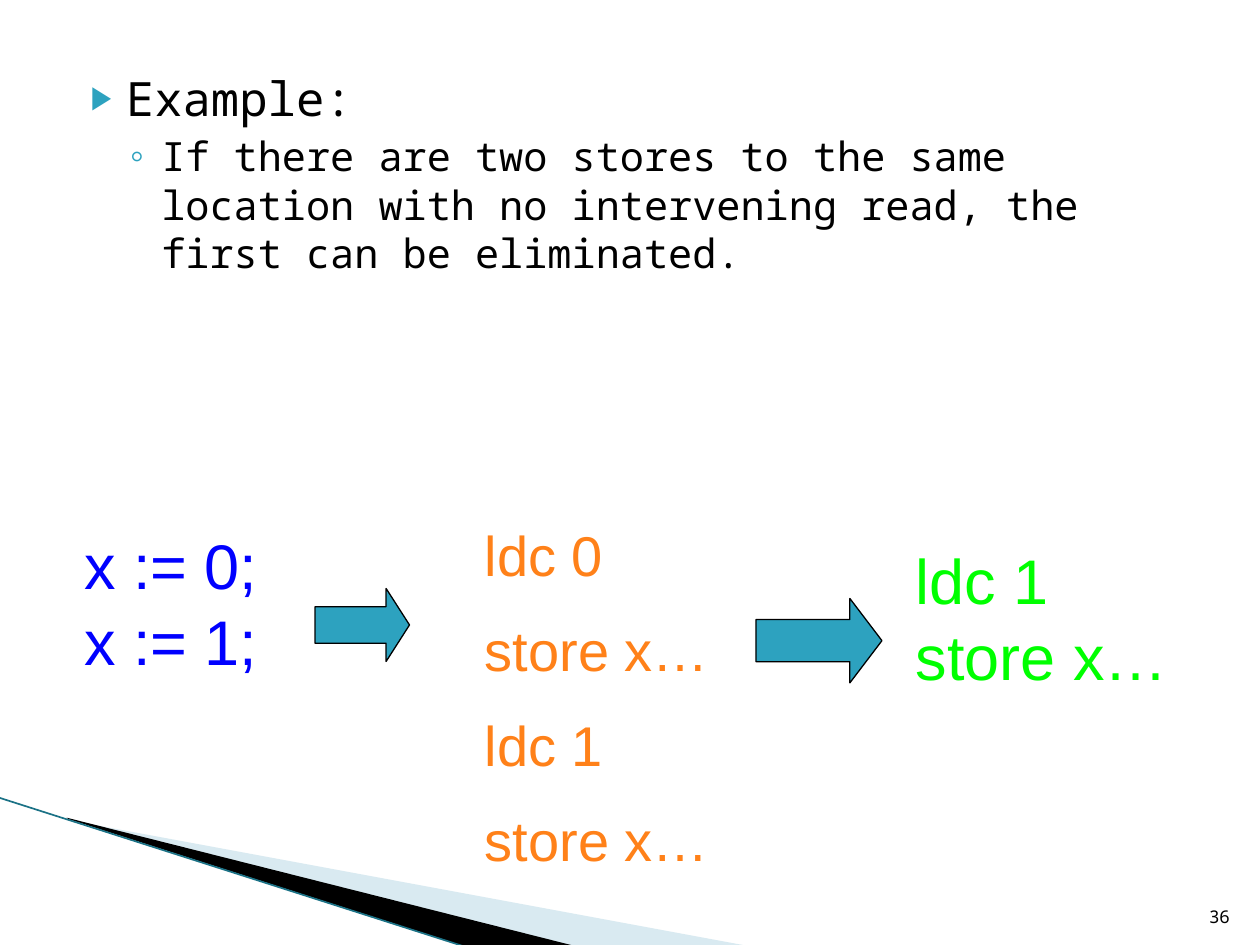
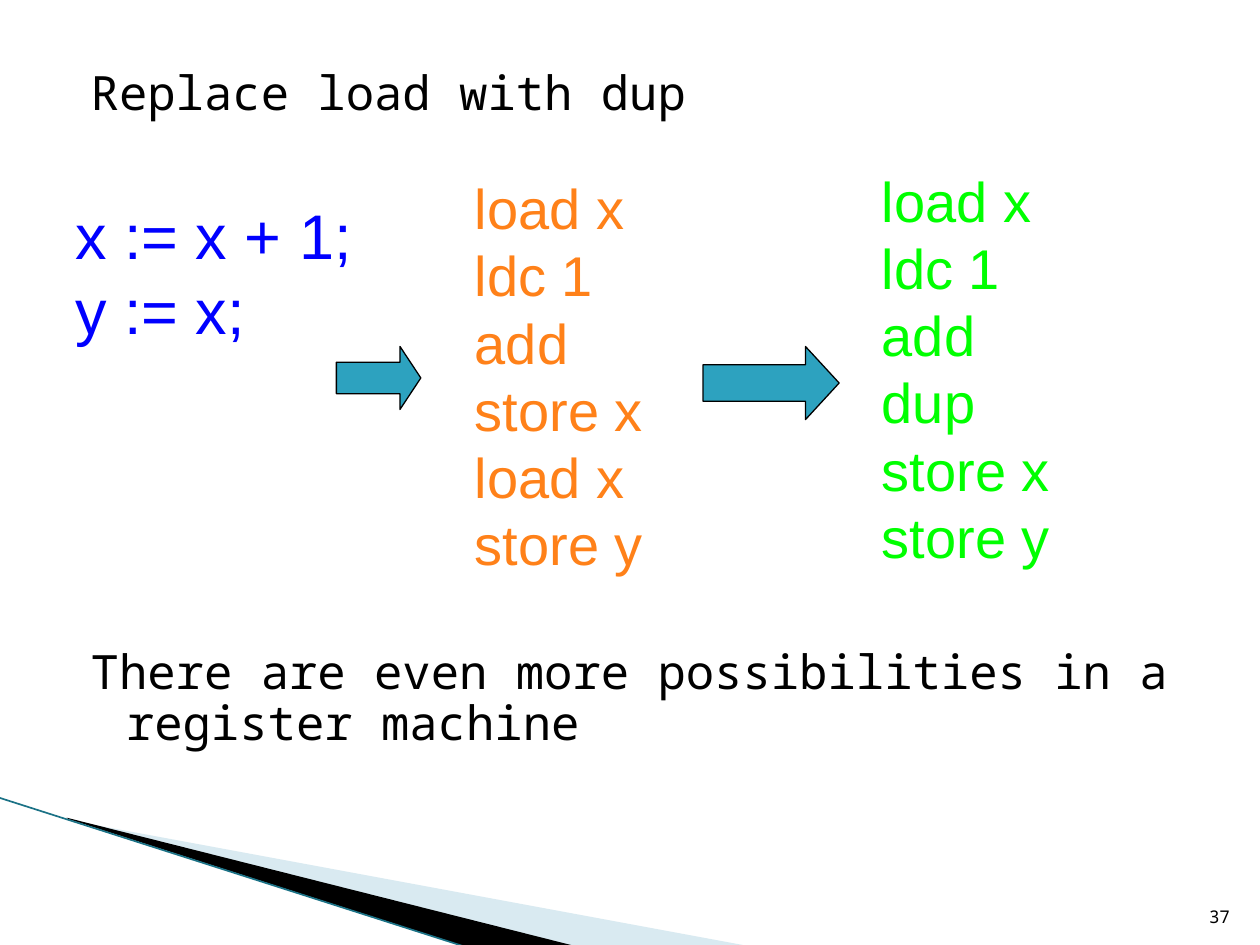
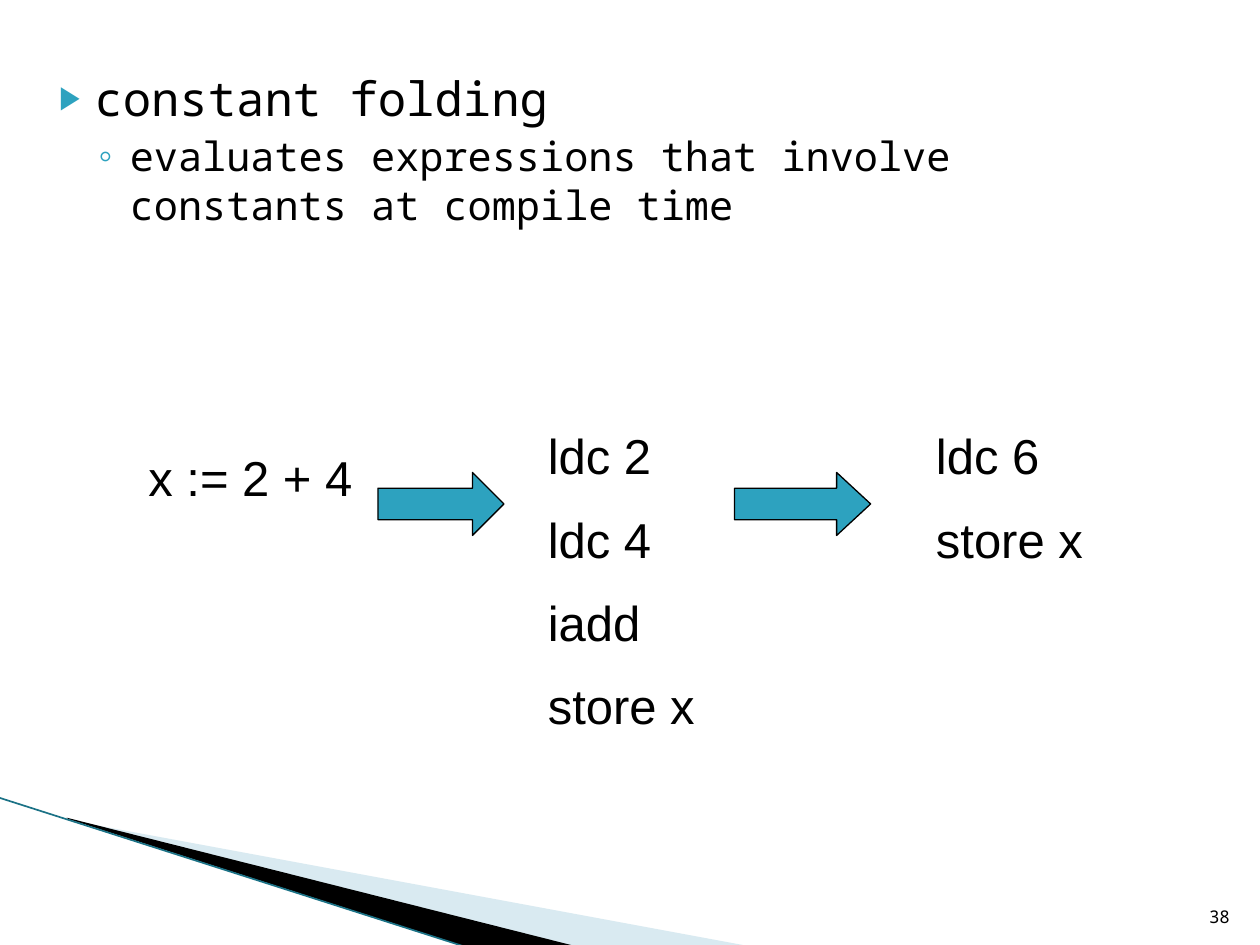
import pptx
import pptx.dml.color
import pptx.enum.shapes
import pptx.enum.text
import pptx.util
import lxml.etree
from pptx.oxml.ns import qn
from pptx.util import Inches

COLORS = {
    "text": "000000",
    "accent": "2DA2BF",
    "band_light": "A0CBDC",
    "band_dark": "000000",
    "band_line": "1B7286",
    "source": "0000FF",
    "bytecode": "FF8119",
    "optimized": "00FF00",
}
MONO, SANS = "Noto Sans Mono", "Arial"
# Per list level: left margin, hanging indent, size, space before, bullet, bullet percent
LEVELS = [
    (0.4, -0.28, 27, 4, "\u25b6", 68),
    (0.68, -0.25, 23, 3.2, "\u25e6", 100),
]


def color(name):
    """Return the palette colour with this name."""
    return pptx.dml.color.RGBColor.from_string(COLORS[name])


def add_child(parent, tag, **attributes):
    """Append a DrawingML element and return it."""
    child = lxml.etree.SubElement(parent, qn(tag))
    for key, value in attributes.items():
        child.set(key, str(value))
    return child


def write(para, text, font=SANS, size=28, fill="text", align=None,
          before=None, spacing=None):
    """Put formatted text into a paragraph."""
    span = para.add_run()
    span.text = text
    span.font.name = font
    span.font.size = pptx.util.Pt(size)
    span.font.color.rgb = color(fill)
    if align is not None:
        para.alignment = align
    if before is not None:
        para.space_before = pptx.util.Pt(before)
    if spacing is not None:
        para.line_spacing = spacing


def paragraphs(frame, texts):
    """Yield a paragraph of the frame for each text."""
    for index, text in enumerate(texts):
        yield (frame.add_paragraph() if index else frame.paragraphs[0]), text


class SlideBuilder:
    """Holds the deck's style and the slide being built."""

    def __init__(self):
        """Open a deck of the right size and pick its content layout."""
        self.deck = pptx.Presentation()
        self.deck.slide_width = Inches(10)
        self.deck.slide_height = Inches(7.5)
        self.layout = self.deck.slide_layouts[1]
        self.page = None

    def start(self, number):
        """Add a page with its number in the corner."""
        first = self.page is None
        self.page = self.deck.slides.add_slide(self.layout)
        title = self.page.shapes.title.element
        title.getparent().remove(title)
        if first:
            self.decorate_layout()
        box = self.page.shapes.add_textbox(
            Inches(9.46), Inches(7.01), Inches(0.4), Inches(0.4))
        box.text_frame.word_wrap = True
        box.text_frame.vertical_anchor = pptx.enum.text.MSO_ANCHOR.BOTTOM
        write(box.text_frame.paragraphs[0], str(number), font=MONO, size=10,
              align=pptx.enum.text.PP_ALIGN.RIGHT)

    def decorate_layout(self):
        """Draw the corner bands and hand them to the shared layout."""
        light = self.band([(0.55, 6.51), (5.95, 7.51), (4.56, 7.51), (0.55, 6.5)],
                          "band_light")
        tint = light.element.spPr.find(".//" + qn("a:srgbClr"))
        add_child(tint, "a:alpha", val=40000)
        dark = self.band([(0.53, 6.49), (4.57, 7.51), (3.72, 7.52), (0.54, 6.5)],
                         "band_dark")
        edge = self.page.shapes.add_connector(
            pptx.enum.shapes.MSO_CONNECTOR.STRAIGHT,
            Inches(-0.01), Inches(6.33), Inches(3.71), Inches(7.52))
        edge.line.color.rgb = color("band_line")
        edge.line.width = pptx.util.Pt(0.95)
        add_child(edge.element.spPr, "a:effectLst")
        for shape in (light, dark, edge):
            self.layout.shapes.element.append(shape.element)

    def band(self, points, fill):
        """Draw a filled outline through points given in inches."""
        corners = [(Inches(x), Inches(y)) for x, y in points]
        builder = self.page.shapes.build_freeform(*corners[0])
        builder.add_line_segments(corners[1:], close=True)
        shape = builder.convert_to_shape()
        shape.shadow.inherit = False
        shape.fill.solid()
        shape.fill.fore_color.rgb = color(fill)
        shape.line.fill.background()
        return shape

    def body(self, items, left=0.5, bullets=True, spacing=None):
        """Fill the body placeholder with (level, text, space before) items."""
        box = self.page.placeholders[1]
        box.left, box.top = Inches(left), Inches(0.5)
        box.width, box.height = Inches(9), Inches(6.2)
        frame = box.text_frame
        frame.auto_size = pptx.enum.text.MSO_AUTO_SIZE.NONE
        for para, (level, text, gap) in paragraphs(frame, items):
            margin, indent, size, before, mark, percent = LEVELS[level]
            para.level = level
            write(para, text, font=MONO, size=size,
                  before=before if gap is None else gap, spacing=spacing)
            props = para._p.get_or_add_pPr()
            props.set("marL", str(Inches(margin)))
            props.set("indent", str(Inches(indent)))
            if bullets:
                tint = add_child(props, "a:buClr")
                add_child(tint, "a:srgbClr", val=COLORS["accent"])
                add_child(props, "a:buSzPct", val=percent * 1000)
                add_child(props, "a:buChar", char=mark)
            else:
                add_child(props, "a:buNone")

    def code(self, lines, left, top, width, height, size=28, fill="text",
             gap=0, wrap=True):
        """Place code lines, separated by a gap in points."""
        box = self.page.shapes.add_textbox(
            Inches(left), Inches(top), Inches(width), Inches(height))
        frame = box.text_frame
        frame.word_wrap = wrap
        frame.auto_size = pptx.enum.text.MSO_AUTO_SIZE.SHAPE_TO_FIT_TEXT
        for para, text in paragraphs(frame, lines):
            first = para._p is frame.paragraphs[0]._p
            write(para, text, size=size, fill=fill, before=0 if first else gap)

    def arrow(self, left, top, width, height, head):
        """Draw a block arrow; head is its length relative to its height."""
        shape = self.page.shapes.add_shape(
            pptx.enum.shapes.MSO_SHAPE.RIGHT_ARROW,
            Inches(left), Inches(top), Inches(width), Inches(height))
        shape.adjustments[0] = 0.5
        shape.adjustments[1] = head
        shape.shadow.inherit = False
        shape.fill.solid()
        shape.fill.fore_color.rgb = color("accent")
        shape.line.color.rgb = color("text")
        shape.line.width = pptx.util.Pt(0.75)


def dead_store_slide(builder):
    """Show the removal of a redundant store."""
    builder.start(36)
    builder.body([
        (0, "Example:", None),
        (1, "If there are two stores to the same location with no "
            "intervening read, the first can be eliminated.", None),
    ])
    builder.code(["ldc 0", "store x\u2026", "ldc 1", "store x\u2026"],
                 3.75, 4.08, 2, 3.03, size=32, fill="bytecode", gap=16)
    builder.code(["ldc 1", "store x\u2026"], 7.17, 4.25, 2.5, 1.3,
                 size=36, fill="optimized")
    builder.code(["x := 0;", "x := 1;"], 0.57, 4.13, 1.58, 1.3,
                 size=36, fill="source", wrap=False)
    builder.arrow(2.5, 4.67, 0.75, 0.58, 0.32)
    builder.arrow(6, 4.75, 1, 0.67, 0.38)


def duplicate_slide(builder):
    """Show a load replaced by dup."""
    builder.start(37)
    builder.body([
        (0, "Replace load with dup", None),
        (0, "There are even more possibilities in a register machine", 302),
    ], bullets=False, spacing=0.9)
    builder.code(["x := x + 1;", "y := x;"], 0.5, 1.51, 2.4, 1.9,
                 size=36, fill="source", wrap=False)
    builder.code(["load x", "ldc 1", "add", "store x", "load x", "store y"],
                 3.67, 1.33, 2.33, 4.1, size=32, fill="bytecode")
    builder.code(["load x", "ldc 1", "add", "dup", "store x", "store y"],
                 6.9, 1.27, 1.65, 3.83, size=32, fill="optimized")
    builder.arrow(2.67, 2.75, 0.67, 0.5, 0.33)
    builder.arrow(5.58, 2.75, 1.08, 0.58, 0.46)


def folding_slide(builder):
    """Show constant folding."""
    builder.start(38)
    builder.body([
        (0, "constant folding", None),
        (1, "evaluates expressions that involve constants at compile time", None),
    ], left=0.25)
    builder.code(["x := 2 + 4"], 1.08, 3.5, 1.83, 0.57)
    builder.code(["ldc 2", "ldc 4", "iadd", "store x"],
                 4.25, 3.33, 1.83, 2.67, gap=14)
    builder.code(["ldc 6", "store x"], 7.33, 3.33, 1.75, 1.27, gap=14)
    builder.arrow(3, 3.75, 1, 0.5, 0.5)
    builder.arrow(5.83, 3.75, 1.08, 0.5, 0.54)


def main():
    """Build the deck and save it."""
    builder = SlideBuilder()
    dead_store_slide(builder)
    duplicate_slide(builder)
    folding_slide(builder)
    builder.deck.save("out.pptx")


main()
